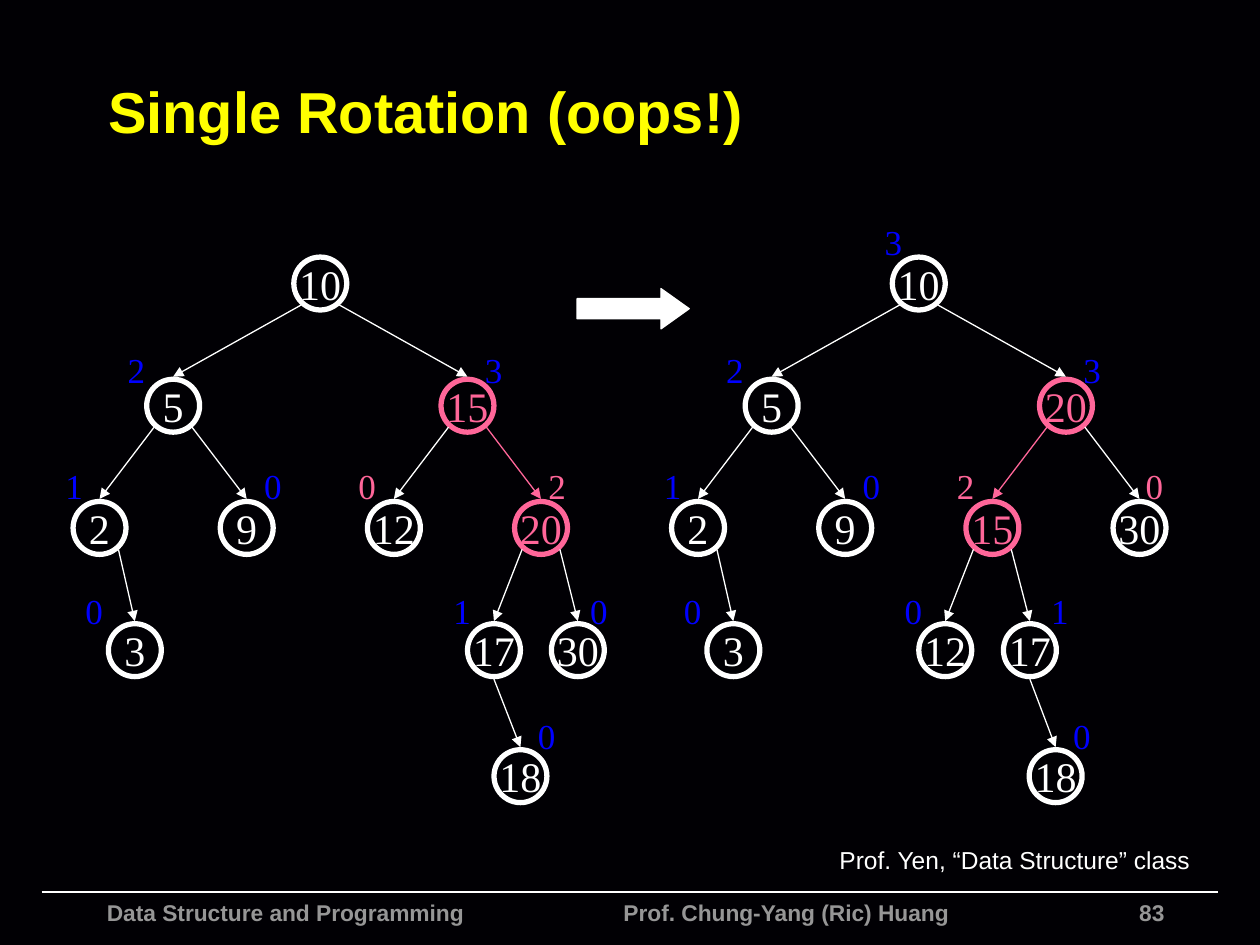
from dataclasses import dataclass
from lxml.etree import SubElement
from pptx import Presentation
from pptx.dml.color import RGBColor
from pptx.enum.shapes import MSO_CONNECTOR, MSO_SHAPE
from pptx.enum.text import MSO_ANCHOR, PP_ALIGN
from pptx.oxml.ns import qn
from pptx.util import Inches, Pt


@dataclass(frozen=True)
class Theme:
    back: str = "010004"
    ink: str = "FFFFFF"
    hot: str = "FF6699"
    tag: str = "0000FF"
    head: str = "FFFF00"
    foot: str = "969696"
    sans: str = "Arial"
    serif: str = "Times New Roman"
    title: int = 33
    key: int = 24
    mark: int = 20
    note: int = 14
    small: int = 13


LOOK = Theme()

# Grid in inches: column step, row tops, node size, tag lift by row
STEP = 0.584
ROWS = [2.04, 3.01, 3.98, 4.95, 5.95]
SIZE = 0.42
LIFT = [0.34, 0.29, 0.34, 0.32, 0.33]

# Key: column, row, parent, height tag, tag offset from the node's centre
BASE = {
    "5": (1, 1, "10", "2", -0.46),
    "2": (0, 2, "5", "1", -0.37),
    "9": (2, 2, "5", "0", 0.04),
    "3": (0.48, 3, "2", "0", -0.49),
}
BEFORE = {
    "10": (3, 0, None, None, 0), **BASE,
    "15": (5, 1, "10", "3", 0.04),
    "12": (4, 2, "15", "0", -0.38),
    "20": (6, 2, "15", "2", -0.04),
    "17": (5.36, 3, "20", "1", -0.42),
    "30": (6.5, 3, "20", "0", 0),
    "18": (5.72, 4, "17", "0", 0.04),
}
AFTER = {
    "10": (3, 0, None, "3", -0.37), **BASE,
    "20": (5, 1, "10", "3", 0.04),
    "15": (4, 2, "20", "2", -0.38),
    "30": (6, 2, "20", "0", -0.05),
    "12": (3.36, 3, "15", "0", -0.42),
    "17": (4.51, 3, "15", "1", 0.07),
    "18": (4.86, 4, "17", "0", 0.04),
}
PIVOTS = {"15", "20"}


def rgb(code):
    return RGBColor.from_string(code)


def write(shape, text, size, color, font, bold=False,
          align=PP_ALIGN.LEFT, wrap=False, tab=None, **frame):
    box = shape.text_frame
    for name, value in {"word_wrap": wrap, **frame}.items():
        setattr(box, name, value)
    para = box.paragraphs[0]
    para.text = text
    para.alignment = align
    if tab:
        stops = SubElement(para._p.get_or_add_pPr(), qn("a:tabLst"))
        SubElement(stops, qn("a:tab"), pos=str(Inches(tab)), algn="l")
    face = para.runs[0].font
    for name, value in {"size": Pt(size), "name": font, "bold": bold}.items():
        setattr(face, name, value)
    face.color.rgb = rgb(color)


def label(slide, area, *text, **form):
    write(slide.shapes.add_textbox(*map(Inches, area)), *text, **form)


def link(slide, start, end, color, width=0.75, arrow=True):
    line = slide.shapes.add_connector(
        MSO_CONNECTOR.STRAIGHT, *map(Inches, (*start, *end)))
    line.line.color.rgb = rgb(color)
    line.line.width = Pt(width)
    if arrow:
        SubElement(line.line._get_or_add_ln(), qn("a:tailEnd"), type="triangle")
    SubElement(line._element.spPr, qn("a:effectLst"))


def shape(slide, kind, area, color, width):
    item = slide.shapes.add_shape(kind, *map(Inches, area))
    item.shadow.inherit = False
    item.line.color.rgb = rgb(color)
    item.line.width = Pt(width)
    return item


def node(slide, key, mid, top, color):
    ring = shape(slide, MSO_SHAPE.OVAL,
                 (mid - SIZE / 2, top, SIZE, SIZE), color, 3)
    ring.fill.background()
    write(ring, key, LOOK.key, color, LOOK.serif, align=PP_ALIGN.CENTER,
          vertical_anchor=MSO_ANCHOR.MIDDLE)


def edge(slide, start, end, last, color):
    (x1, y1), (x2, y2) = start, end
    if last:
        begin = x1, y1 + 0.44
    else:
        begin = x1 + (0.15 if x2 > x1 else -0.15), y1 + 0.38
    link(slide, begin, (x2, y2 - 0.02), color)


def tree(slide, left, nodes):
    spot = {key: (left + col * STEP, ROWS[row])
            for key, (col, row, *_) in nodes.items()}
    for key, (_, row, up, tag, shift) in nodes.items():
        mid, top = spot[key]
        hot = key in PIVOTS
        node(slide, key, mid, top, LOOK.hot if hot else LOOK.ink)
        if up:
            edge(slide, spot[up], spot[key], row == len(ROWS) - 1,
                 LOOK.hot if hot and up in PIVOTS else LOOK.ink)
        if tag:
            # Tags right below the rotated pair's upper node stand out
            color = LOOK.hot if row == 2 and up in PIVOTS else LOOK.tag
            label(slide, (mid + shift, top - LIFT[row], 0.34, 0.43),
                  tag, LOOK.mark, color, LOOK.serif)


def footer(slide):
    link(slide, (0.33, 7.08), (9.67, 7.08), LOOK.ink, 1, arrow=False)
    form = LOOK.small, LOOK.foot, LOOK.sans, True
    label(slide, (0.75, 7.08, 7.24, 0.42),
          "Data Structure and Programming\tProf. Chung-Yang (Ric) Huang",
          *form, wrap=True, tab=4.1)
    label(slide, (6.17, 7.08, 3.17, 0.18), "83", *form,
          align=PP_ALIGN.RIGHT, wrap=True)


def main():
    deck = Presentation()
    deck.slide_width, deck.slide_height = Inches(10), Inches(7.5)
    slide = deck.slides.add_slide(deck.slide_layouts[6])
    slide.background.fill.solid()
    slide.background.fill.fore_color.rgb = rgb(LOOK.back)

    # Title
    label(slide, (0.76, 0.37, 8.84, 1.01), "Single Rotation (oops!)",
          LOOK.title, LOOK.head, LOOK.sans, True, wrap=True,
          vertical_anchor=MSO_ANCHOR.MIDDLE)

    # Trees before and after the rotation
    tree(slide, 0.79, BEFORE)
    tree(slide, 5.54, AFTER)

    # Arrow between the trees
    arrow = shape(slide, MSO_SHAPE.RIGHT_ARROW,
                  (4.58, 2.29, 0.89, 0.32), LOOK.ink, 0.75)
    arrow.adjustments[1] = 0.7
    arrow.fill.solid()
    arrow.fill.fore_color.rgb = rgb(LOOK.ink)

    # Credit and footer
    pads = {f"margin_{side}": Inches(0.05) for side in ("left", "right")}
    label(slide, (6.61, 6.66, 2.89, 0.33), "Prof. Yen, “Data Structure” class",
          LOOK.note, LOOK.ink, LOOK.sans, align=PP_ALIGN.CENTER, **pads)
    footer(slide)
    deck.save("out.pptx")


if __name__ == "__main__":
    main()
